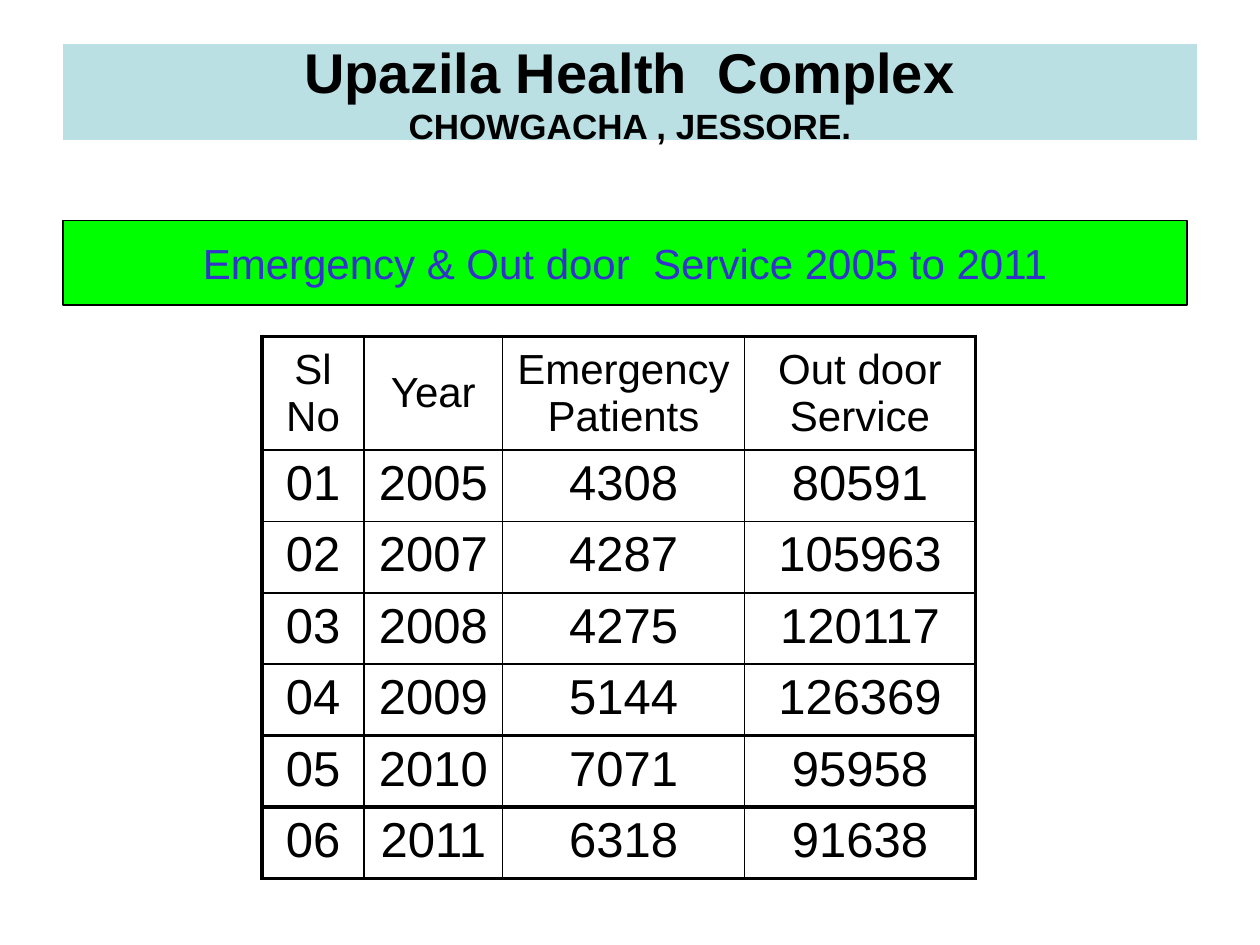
from dataclasses import dataclass

from lxml.etree import SubElement
from pptx import Presentation
from pptx.dml.color import RGBColor
from pptx.enum.shapes import MSO_SHAPE
from pptx.enum.text import MSO_ANCHOR, MSO_AUTO_SIZE, PP_ALIGN
from pptx.oxml.ns import qn
from pptx.util import Cm, Pt


@dataclass(frozen=True)
class Theme:
    font: str = "Arial"
    black: str = "000000"
    title_fill: str = "BBE0E3"
    banner_fill: str = "00FF00"
    banner_text: str = "3333CC"
    title_size: float = 32
    place_size: float = 20
    heading_size: float = 24
    figure_size: float = 28
    thin_line: float = 1
    thick_line: float = 2.25


@dataclass(frozen=True)
class Area:
    left: float
    top: float
    width: float
    height: float

    def lengths(self) -> tuple:
        return Cm(self.left), Cm(self.top), Cm(self.width), Cm(self.height)


@dataclass(frozen=True)
class YearRecord:
    year: int
    emergency: int
    outdoor: int


THEME = Theme()
TITLE_AREA = Area(1.27, 0.89, 22.86, 1.93)
BANNER_AREA = Area(1.27, 4.45, 22.66, 1.7)
TABLE_LEFT, TABLE_TOP = 5.28, 6.78
COLUMN_WIDTHS = (2.06, 2.79, 4.88, 4.65)
HEADING_HEIGHT, RECORD_HEIGHT = 2.29, 1.44
HEADINGS = ("Sl No", "Year", "Emergency Patients", "Out door Service")
RECORDS = (
    YearRecord(2005, 4308, 80591),
    YearRecord(2007, 4287, 105963),
    YearRecord(2008, 4275, 120117),
    YearRecord(2009, 5144, 126369),
    YearRecord(2010, 7071, 95958),
    YearRecord(2011, 6318, 91638),
)
# Grid lines counted from the top and from the left
THICK_ROW_LINES = {0, 5, 6, 7}
THICK_COLUMN_LINES = {0, 4}


def write_centred(frame, text: str, size: float, color: str, bold: bool = False) -> None:
    frame.text = text
    frame.word_wrap = True
    para = frame.paragraphs[0]
    para.alignment = PP_ALIGN.CENTER
    for span in para.runs:
        span.font.name = THEME.font
        span.font.size = Pt(size)
        span.font.bold = bold
        span.font.color.rgb = RGBColor.from_string(color)


def set_border(cell, side: str, width: float) -> None:
    line = SubElement(cell._tc.get_or_add_tcPr(), qn(f"a:ln{side}"), w=str(Pt(width)))
    fill = SubElement(line, qn("a:solidFill"))
    SubElement(fill, qn("a:srgbClr"), val=THEME.black)


def line_width(index: int, thick_lines: set) -> float:
    return THEME.thick_line if index in thick_lines else THEME.thin_line


def draw_title(page) -> None:
    box = page.shapes.title
    box.left, box.top, box.width, box.height = TITLE_AREA.lengths()
    box.fill.solid()
    box.fill.fore_color.rgb = RGBColor.from_string(THEME.title_fill)
    frame = box.text_frame
    write_centred(frame, "Upazila Health  Complex\vCHOWGACHA , JESSORE.",
                  THEME.title_size, THEME.black, bold=True)
    frame.paragraphs[0].runs[1].font.size = Pt(THEME.place_size)
    frame.auto_size = MSO_AUTO_SIZE.NONE
    frame.vertical_anchor = MSO_ANCHOR.MIDDLE


def draw_banner(page) -> None:
    box = page.shapes.add_shape(MSO_SHAPE.RECTANGLE, *BANNER_AREA.lengths())
    box.shadow.inherit = False
    box.fill.solid()
    box.fill.fore_color.rgb = RGBColor.from_string(THEME.banner_fill)
    box.line.color.rgb = RGBColor.from_string(THEME.black)
    box.line.width = Pt(0.75)
    write_centred(box.text_frame, "Emergency & Out door  Service 2005 to 2011",
                  THEME.heading_size, THEME.banner_text)
    box.text_frame.vertical_anchor = MSO_ANCHOR.MIDDLE


def draw_table(page) -> None:
    rows = [HEADINGS]
    for number, record in enumerate(RECORDS, start=1):
        rows.append((f"{number:02d}", str(record.year),
                     str(record.emergency), str(record.outdoor)))
    area = Area(TABLE_LEFT, TABLE_TOP, sum(COLUMN_WIDTHS),
                HEADING_HEIGHT + RECORD_HEIGHT * len(RECORDS))
    table = page.shapes.add_table(len(rows), len(HEADINGS), *area.lengths()).table
    table.first_row = table.horz_banding = False
    for column, width in zip(table.columns, COLUMN_WIDTHS):
        column.width = Cm(width)

    for row_index, values in enumerate(rows):
        is_heading = row_index == 0
        table.rows[row_index].height = Cm(HEADING_HEIGHT if is_heading else RECORD_HEIGHT)
        for column_index, value in enumerate(values):
            cell = table.cell(row_index, column_index)
            write_centred(cell.text_frame, value,
                          THEME.heading_size if is_heading else THEME.figure_size,
                          THEME.black)
            cell.vertical_anchor = MSO_ANCHOR.MIDDLE if is_heading else MSO_ANCHOR.TOP
            set_border(cell, "L", line_width(column_index, THICK_COLUMN_LINES))
            set_border(cell, "R", line_width(column_index + 1, THICK_COLUMN_LINES))
            set_border(cell, "T", line_width(row_index, THICK_ROW_LINES))
            set_border(cell, "B", line_width(row_index + 1, THICK_ROW_LINES))
            cell.fill.background()


def main() -> None:
    deck = Presentation()
    deck.slide_width, deck.slide_height = Cm(25.4), Cm(19.05)
    page = deck.slides.add_slide(deck.slide_layouts.get_by_name("Title Only"))
    draw_title(page)
    draw_table(page)
    draw_banner(page)
    deck.save("out.pptx")


if __name__ == "__main__":
    main()
